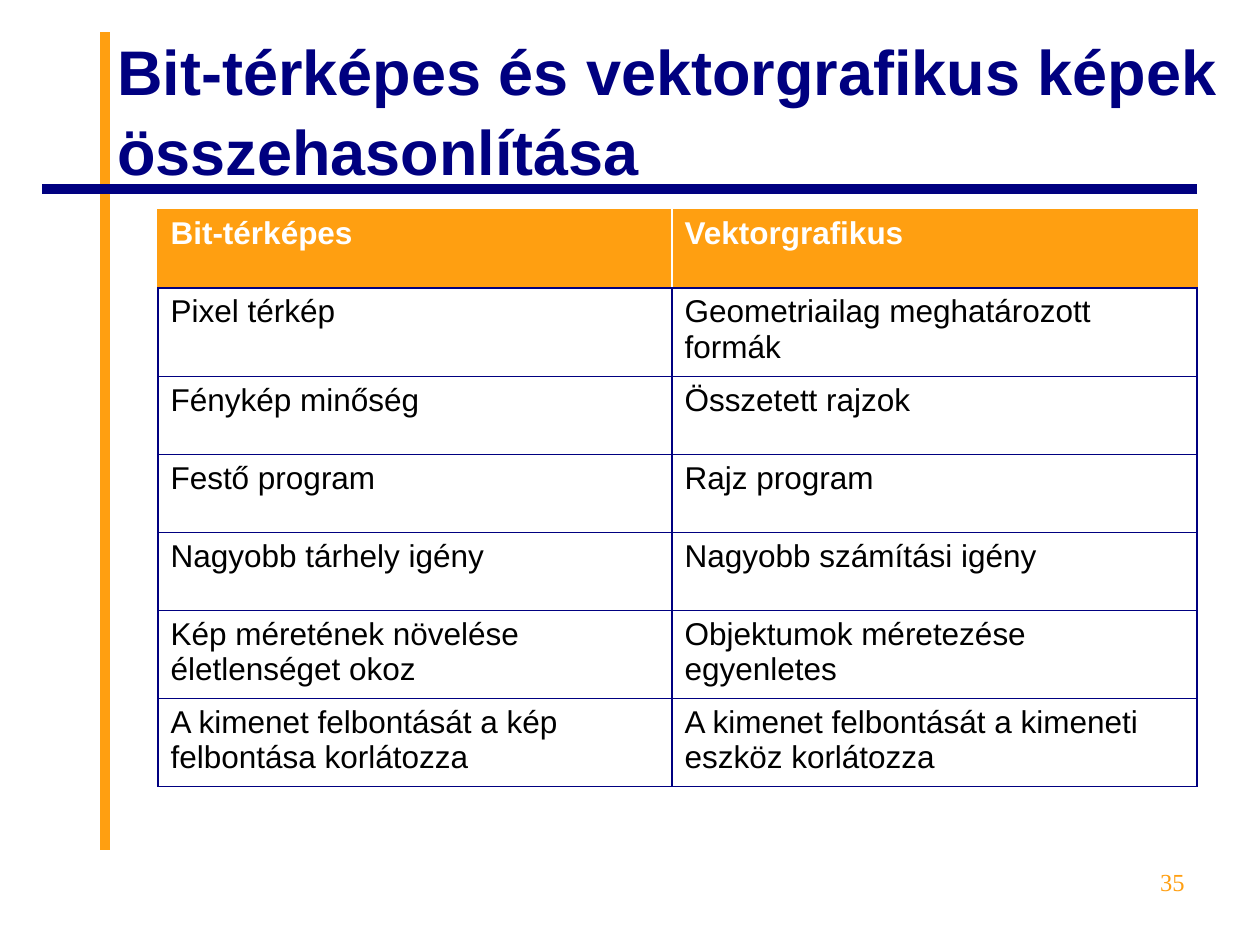
from lxml import etree
from pptx import Presentation
from pptx.dml.color import RGBColor
from pptx.enum.shapes import MSO_CONNECTOR
from pptx.enum.text import MSO_ANCHOR, PP_ALIGN
from pptx.oxml.ns import qn
from pptx.util import Emu, Pt

STRAIGHT = MSO_CONNECTOR.STRAIGHT
TOP, MIDDLE = MSO_ANCHOR.TOP, MSO_ANCHOR.MIDDLE
LEFT, RIGHT = PP_ALIGN.LEFT, PP_ALIGN.RIGHT

EMU_PER_PX = 914400 / 126
ORANGE, NAVY, WHITE, BLACK = "FF9F11", "000080", "FFFFFF", "000000"

COLUMN_WIDTHS = [514, 525]
ROW_HEIGHTS = [78, 88, 78, 78, 78, 88, 88]
COMPARISON = [
    ("Bit-térképes", "Vektorgrafikus"),
    ("Pixel térkép", "Geometriailag meghatározott formák"),
    ("Fénykép minőség", "Összetett rajzok"),
    ("Festő program", "Rajz program"),
    ("Nagyobb tárhely igény", "Nagyobb számítási igény"),
    ("Kép méretének növelése életlenséget okoz", "Objektumok méretezése egyenletes"),
    ("A kimenet felbontását a kép felbontása korlátozza",
     "A kimenet felbontását a kimeneti eszköz korlátozza"),
]


def px(length):
    return Emu(round(length * EMU_PER_PX))


def rgb(color):
    return RGBColor.from_string(color)


def style_font(paragraph, size, color, bold=False, name="Arial"):
    font = paragraph.font
    font.name = name
    font.size = Pt(size)
    font.bold = bold
    font.color.rgb = rgb(color)


def add_rule(slide, start, end, color):
    rule = slide.shapes.add_connector(STRAIGHT, *map(px, start + end))
    rule.line.color.rgb = rgb(color)
    rule.line.width = Pt(5.5)
    etree.SubElement(rule._element.spPr, qn("a:effectLst"))


def add_text(slide, box, text, size, color, anchor=TOP, align=LEFT,
             spacing=1.0, **font):
    frame = slide.shapes.add_textbox(*map(px, box)).text_frame
    frame.word_wrap = True
    frame.vertical_anchor = anchor
    paragraph = frame.paragraphs[0]
    paragraph.text = text
    paragraph.alignment = align
    paragraph.line_spacing = spacing
    style_font(paragraph, size, color, **font)


def set_borders(cell, colors):
    properties = cell._tc.get_or_add_tcPr()
    for position, (side, color) in enumerate(zip("LRTB", colors)):
        border = etree.Element(qn(f"a:ln{side}"), w=str(Pt(0.75)))
        fill = etree.SubElement(border, qn("a:solidFill"))
        etree.SubElement(fill, qn("a:srgbClr"), val=color)
        properties.insert(position, border)


def fill_cell(cell, text, is_header, column):
    paragraph = cell.text_frame.paragraphs[0]
    paragraph.text = text
    style_font(paragraph, 18, WHITE if is_header else BLACK, bold=is_header)
    if is_header:
        cell.fill.solid()
        cell.fill.fore_color.rgb = rgb(ORANGE)
        sides = (ORANGE, WHITE) if column == 0 else (WHITE, ORANGE)
        set_borders(cell, sides + (ORANGE, NAVY))
    else:
        cell.fill.background()
        set_borders(cell, [NAVY] * 4)


def add_comparison(slide, left, top):
    table = slide.shapes.add_table(
        len(ROW_HEIGHTS), len(COLUMN_WIDTHS), px(left), px(top),
        px(sum(COLUMN_WIDTHS)), px(sum(ROW_HEIGHTS))).table
    table.horz_banding = False
    for column, width in zip(table.columns, COLUMN_WIDTHS):
        column.width = px(width)
    for row, height in zip(table.rows, ROW_HEIGHTS):
        row.height = px(height)
    for r, texts in enumerate(COMPARISON):
        for c, text in enumerate(texts):
            fill_cell(table.cell(r, c), text, r == 0, c)


def main():
    presentation = Presentation()
    presentation.slide_width = px(1260)
    presentation.slide_height = px(945)
    slide = presentation.slides.add_slide(presentation.slide_layouts[6])
    add_rule(slide, (105, 850), (105, 32), ORANGE)
    add_rule(slide, (1197, 189), (42, 189), NAVY)
    add_text(slide, (105, 38, 1134, 141), "Bit-térképes és vektorgrafikus képek összehasonlítása",
             36, NAVY, anchor=MIDDLE, spacing=1.05, bold=True)
    add_comparison(slide, 158, 210)
    add_text(slide, (903, 861, 294, 66), "35", 14, ORANGE, align=RIGHT,
             name="Times New Roman")
    presentation.save("out.pptx")


if __name__ == "__main__":
    main()
